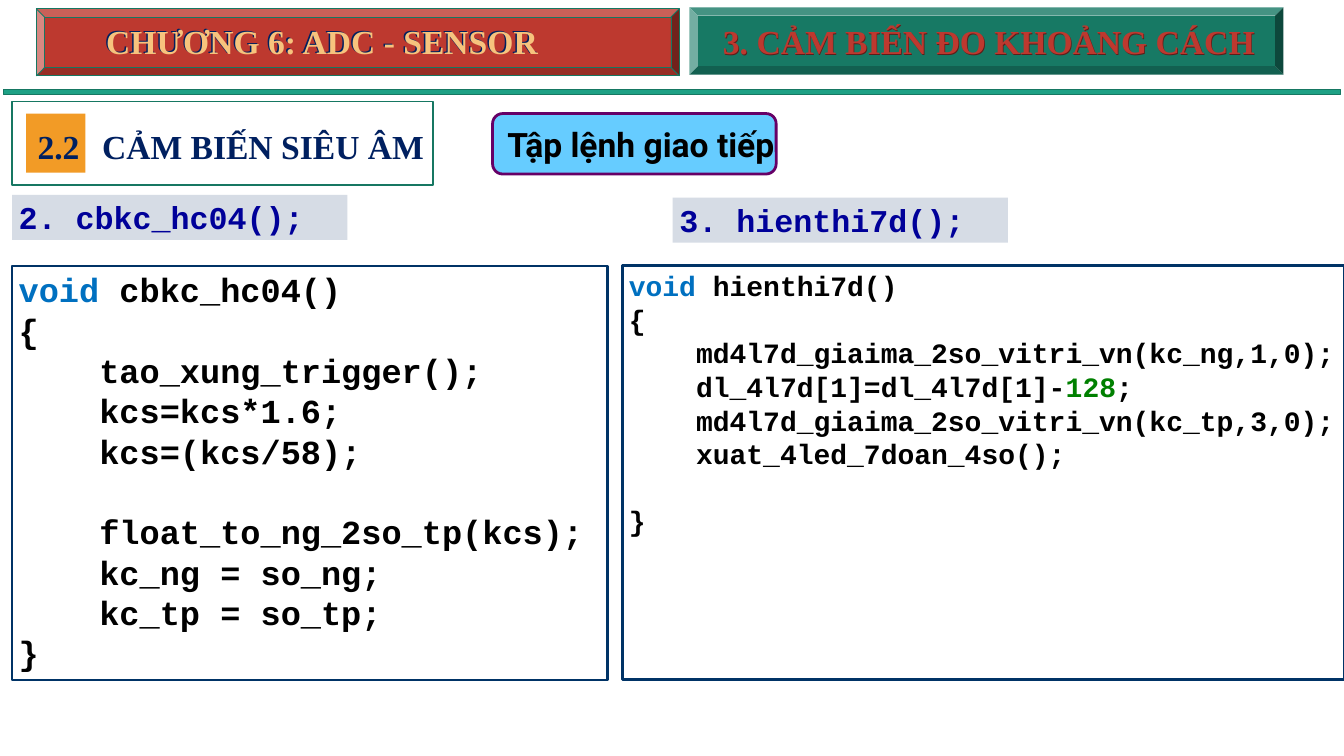
from collections import namedtuple
from dataclasses import dataclass

from lxml import etree
from pptx import Presentation
from pptx.dml.color import RGBColor
from pptx.enum.shapes import MSO_SHAPE
from pptx.enum.text import MSO_ANCHOR, MSO_AUTO_SIZE, PP_ALIGN
from pptx.oxml.ns import qn
from pptx.util import Emu, Pt

RECT, ROUND, BEVEL = MSO_SHAPE.RECTANGLE, MSO_SHAPE.ROUNDED_RECTANGLE, MSO_SHAPE.BEVEL
TOP, LEFT, NO_FIT = MSO_ANCHOR.TOP, PP_ALIGN.LEFT, MSO_AUTO_SIZE.NONE
PX = 9144  # 100 px to the inch
TITLE_ONLY = 5

Box = namedtuple("Box", "x y w h")
Run = namedtuple("Run", "text color")


@dataclass(frozen=True)
class Theme:
    serif: str = "Times New Roman"
    sans: str = "Roboto"
    mono: str = "Courier New"
    heading: int = 36
    label: int = 34
    navy: str = "002060"
    red: str = "BD392F"
    maroon: str = "5E1C18"
    sand: str = "F7C37D"
    green: str = "177964"
    green_line: str = "167762"
    teal: str = "1EA185"
    orange: str = "F29B26"
    sky: str = "66CCFF"
    purple: str = "660066"
    grey: str = "D6DCE5"
    label_text: str = "000099"
    code_line: str = "003366"
    code: str = "000000"
    keyword: str = "0070C0"
    number: str = "008000"


T = Theme()

MEASURE_CODE = [
    [Run("void", T.keyword), Run(" cbkc_hc04()", T.code)],
    "{",
    "    tao_xung_trigger();",
    "    kcs=kcs*1.6;",
    "    kcs=(kcs/58);",
    "    ",
    "    float_to_ng_2so_tp(kcs);",
    "    kc_ng = so_ng;",
    "    kc_tp = so_tp;",
    "}",
]
DISPLAY_CODE = [
    [Run("void", T.keyword), Run(" hienthi7d()", T.code)],
    "{",
    "    md4l7d_giaima_2so_vitri_vn(kc_ng,1,0);",
    [Run("    dl_4l7d[1]=dl_4l7d[1]-", T.code), Run("128", T.number), Run(";", T.code)],
    "    md4l7d_giaima_2so_vitri_vn(kc_tp,3,0);",
    "    xuat_4led_7doan_4so();",
    "    ",
    "}",
]


def emu(box):
    return [Emu(v * PX) for v in box]


def inside(box, dx, dy, w, h):
    return Box(box.x + dx, box.y + dy, w, h)


def place(sp, box):
    sp.left, sp.top, sp.width, sp.height = emu(box)


def add_box(s, kind, box, fill=None, line=None, width=1):
    sp = s.shapes.add_shape(kind, *emu(box))
    sp.shadow.inherit = False
    if fill:
        sp.fill.solid()
        sp.fill.fore_color.rgb = RGBColor.from_string(fill)
    else:
        sp.fill.background()
    if line:
        sp.line.color.rgb = RGBColor.from_string(line)
        sp.line.width = Pt(width)
    else:
        sp.line.fill.background()
    return sp


def outline(r, color, width):
    """Draw a line around the letters of a run."""
    ln = etree.Element(qn("a:ln"), w=str(Pt(width)))
    fill = etree.SubElement(ln, qn("a:solidFill"))
    etree.SubElement(fill, qn("a:srgbClr"), val=color)
    r.font._element.insert(0, ln)


def write(sp, lines, font, size, color, after=None):
    """Fill a shape with lines, each one a string or a list of runs."""
    tf = sp.text_frame
    tf.word_wrap, tf.auto_size, tf.vertical_anchor = True, NO_FIT, TOP
    for i, line in enumerate(lines):
        p = tf.add_paragraph() if i else tf.paragraphs[0]
        p.alignment = LEFT
        if after:
            p.space_after = Pt(after)
        for run in [Run(line, color)] if isinstance(line, str) else line:
            r = p.add_run()
            r.text = run.text
            r.font.name, r.font.size, r.font.bold = font, Pt(size), True
            r.font.color.rgb = RGBColor.from_string(run.color)
    return tf


def add_text(s, box, text, color, font=T.serif):
    sp = s.shapes.add_textbox(*emu(box))
    return write(sp, [text], font, T.heading, color)


def add_back_text(s, box, text, color, edge, width):
    tf = add_text(s, box, text, color)
    outline(tf.paragraphs[0].runs[0], edge, width)


def chapter_banner(s, box, text):
    add_box(s, BEVEL, box, T.red, T.green_line)
    add_back_text(s, inside(box, 92, 11, 1225, 71), text, T.navy, T.teal, 2.75)
    title = s.shapes.title
    place(title, inside(box, 94, 13, 778, 71))
    write(title, [text], T.serif, T.heading, T.sand)
    s.shapes._spTree.append(title._element)  # in front of its banner


def topic_banner(s, box, text):
    add_box(s, BEVEL, box, T.green)
    add_back_text(s, inside(box, 41, 16, 843, 71), text, T.maroon, T.sand, 2.25)
    add_text(s, inside(box, 40, 15, 844, 71), text, T.red)


def section_tag(s, box, number, text):
    add_box(s, RECT, inside(box, 21, 18, 88, 88), T.orange)
    add_box(s, RECT, box, line=T.green_line, width=2)
    add_text(s, inside(box, 124, 32, 505, 71), text, T.navy)
    add_text(s, inside(box, 28, 31, 399, 71), number, T.navy)


def command_tag(s, box, text):
    add_box(s, ROUND, box, T.sky, T.purple, 3)
    add_text(s, inside(box, 12, 11, 439, 71), text, T.code, T.sans)


def function_label(s, box, text):
    sp = add_box(s, RECT, box, T.grey)
    write(sp, [text], T.mono, T.label, T.label_text, after=6)


def code_panel(s, box, lines, size):
    sp = add_box(s, RECT, box, line=T.code_line, width=3)
    write(sp, lines, T.mono, size, T.code)


def main():
    prs = Presentation()
    prs.slide_width, prs.slide_height = Emu(2000 * PX), Emu(1125 * PX)
    s = prs.slides.add_slide(prs.slide_layouts[TITLE_ONLY])

    section_tag(s, Box(18, 151, 626, 125), "2.2", "CẢM BIẾN SIÊU ÂM")
    add_box(s, RECT, Box(5, 133, 1990, 8), T.teal, T.green_line)
    chapter_banner(s, Box(54, 13, 957, 100), "CHƯƠNG 6: ADC - SENSOR")
    command_tag(s, Box(733, 169, 422, 90), "Tập lệnh giao tiếp")
    function_label(s, Box(18, 290, 499, 67), "2. cbkc_hc04();")
    code_panel(s, Box(18, 396, 886, 616), MEASURE_CODE, 36)
    function_label(s, Box(1001, 294, 499, 67), "3. hienthi7d();")
    code_panel(s, Box(926, 395, 1074, 616), DISPLAY_CODE, 30)
    topic_banner(s, Box(1026, 11, 884, 100), "3. CẢM BIẾN ĐO KHOẢNG CÁCH")

    prs.save("out.pptx")


if __name__ == "__main__":
    main()
